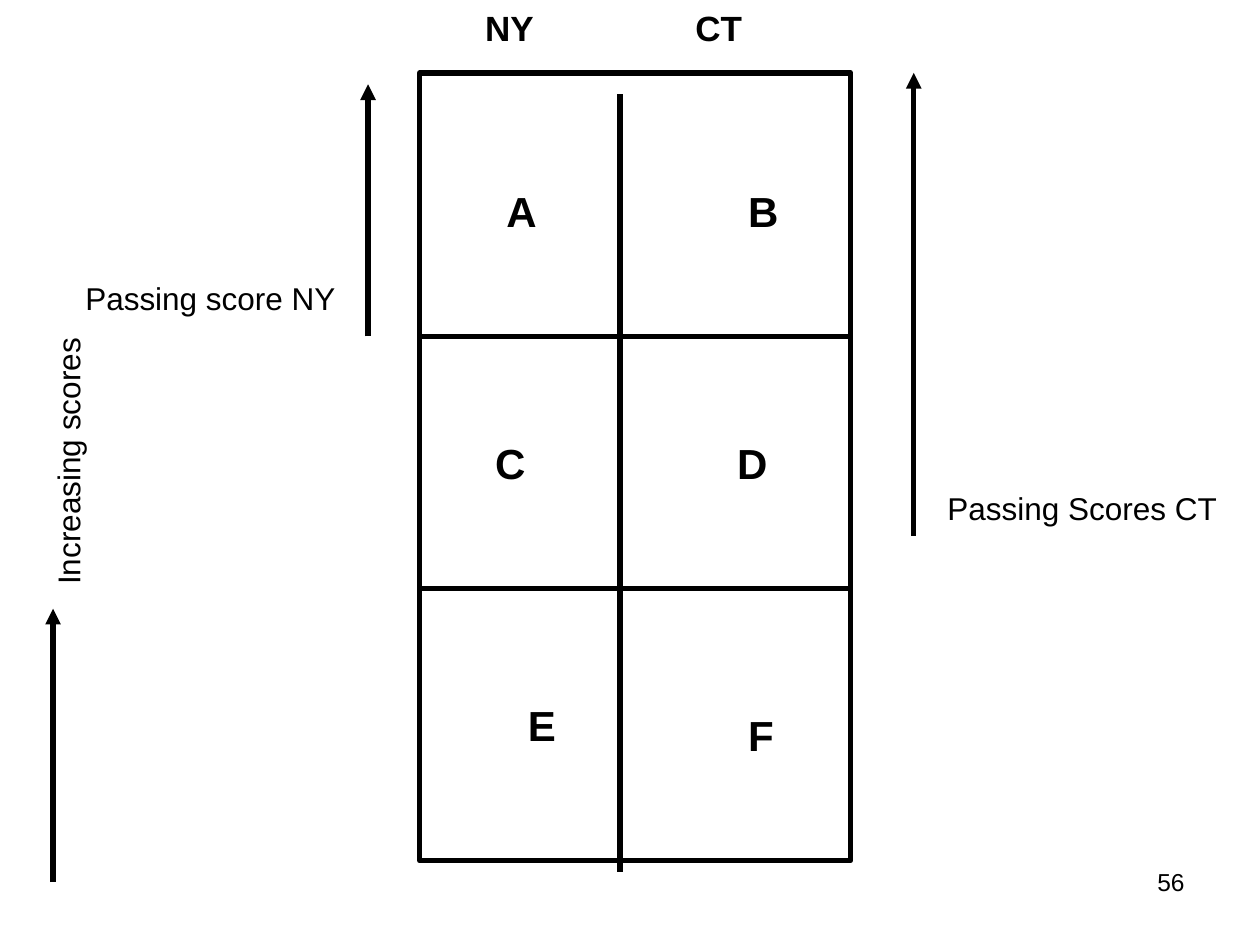
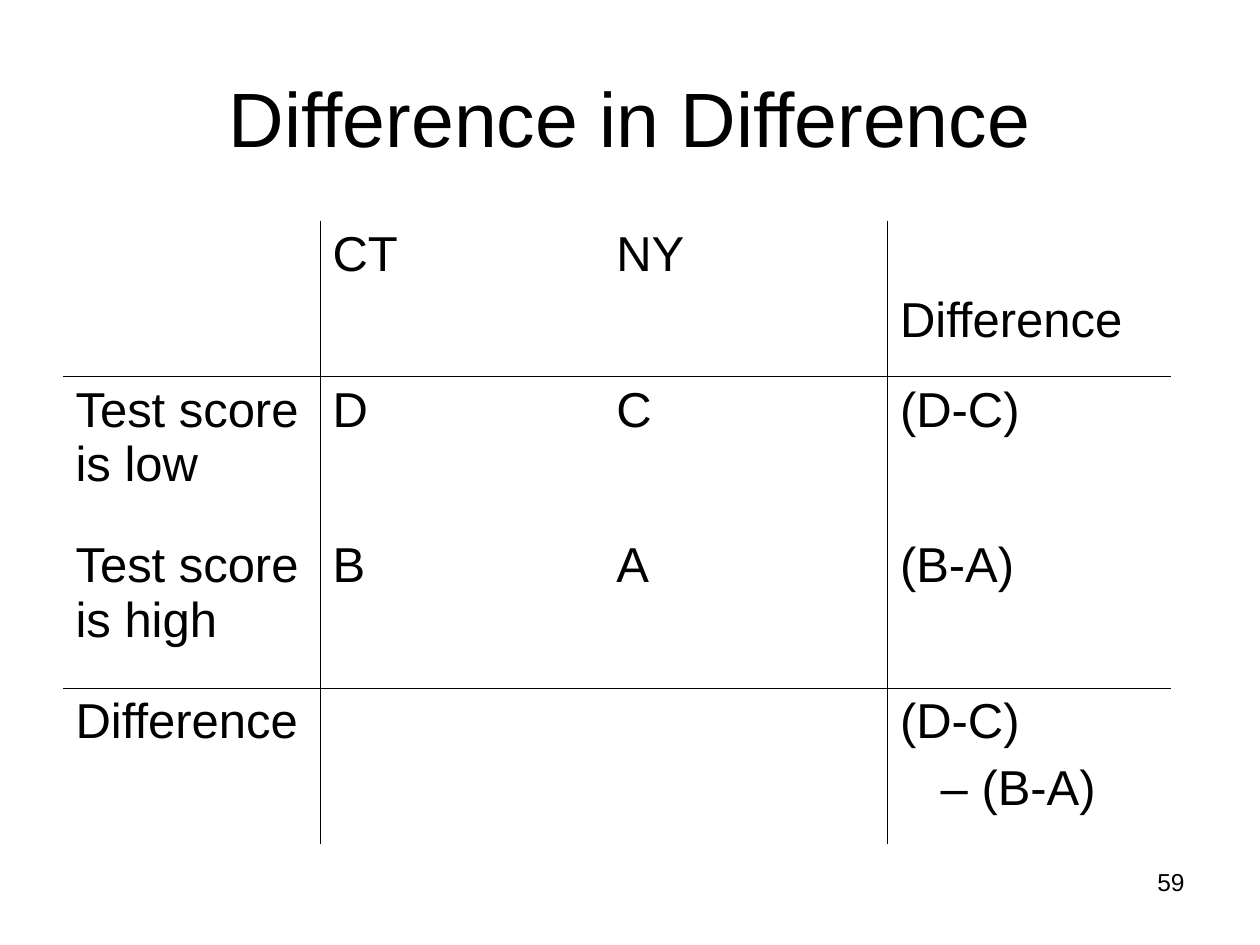
from lxml.etree import SubElement
from pptx import Presentation
from pptx.dml.color import RGBColor
from pptx.enum.shapes import MSO_CONNECTOR, MSO_SHAPE
from pptx.enum.text import MSO_ANCHOR, MSO_AUTO_SIZE, PP_ALIGN
from pptx.oxml.ns import qn
from pptx.util import Cm, Pt

FONT = "Arial"
INK = "000000"
TITLE_ONLY, BLANK = 5, 6
PAGE_NUMBER_BOX = (18.21, 17.35, 5.92, 1.32)


def color(hex_value):
    return RGBColor.from_string(hex_value)


def style(paragraph, size, bold=False, align=PP_ALIGN.LEFT):
    paragraph.alignment = align
    font = paragraph.font
    font.name, font.size, font.bold = FONT, Pt(size), bold
    font.color.rgb = color(INK)


def add_label(slide, text, box, size, bold=False, align=PP_ALIGN.LEFT):
    label = slide.shapes.add_textbox(*map(Cm, box))
    label.text_frame.word_wrap = True
    label.text_frame.text = text
    style(label.text_frame.paragraphs[0], size, bold, align)
    return label


def add_page_number(slide, number):
    add_label(slide, str(number), PAGE_NUMBER_BOX, 14, align=PP_ALIGN.RIGHT)


def add_line(slide, x1, y1, x2, y2, arrow=False):
    line = slide.shapes.add_connector(MSO_CONNECTOR.STRAIGHT, *map(Cm, (x1, y1, x2, y2)))
    line.line.color.rgb = color(INK)
    line.line.width = Pt(3)
    if arrow:
        SubElement(line.line._get_or_add_ln(), qn("a:tailEnd"), type="triangle")
    SubElement(line._element.spPr, qn("a:effectLst"))


def add_score_grid(slide, left, top, width, height):
    frame = slide.shapes.add_shape(MSO_SHAPE.RECTANGLE, *map(Cm, (left, top, width, height)))
    frame.shadow.inherit = False
    frame.fill.background()
    frame.line.color.rgb = color(INK)
    frame.line.width = Pt(3)

    add_line(slide, left + 4.04, top + 0.43, left + 4.04, top + height + 0.23)
    for row_y in (5.31, 10.39):
        add_line(slide, left, top + row_y, left + width, top + row_y)

    for state, x in (("NY", 1.07), ("CT", 5.31)):
        add_label(slide, state, (left + x, top - 1.47, 2, 1.12), 20, bold=True)
    group_offsets = {
        "A": (1.5, 2.14), "B": (6.37, 2.14),
        "C": (1.27, 7.22), "D": (6.15, 7.22),
        "E": (1.93, 12.5), "F": (6.37, 12.7),
    }
    for group, (x, y) in group_offsets.items():
        add_label(slide, group, (left + x, top + y, 1.5, 1.27), 24, bold=True)


def add_score_arrows(slide):
    for x, start, end in ((1.07, 17.78, 12.27), (7.42, 6.78, 1.7), (18.42, 10.8, 1.47)):
        add_line(slide, x, start, x, end, arrow=True)
    add_label(slide, "Passing score NY", (1.47, 5.51, 6.35, 1.02), 18)
    add_label(slide, "Passing Scores CT", (18.85, 9.73, 6.3, 1.02), 18)
    axis_label = add_label(slide, "Increasing scores", (-1.63, 8.53, 6, 1.02), 18)
    axis_label.rotation = 270


def add_title(slide, text, box):
    title = slide.shapes.title
    title.left, title.top, title.width, title.height = map(Cm, box)
    frame = title.text_frame
    frame.text = text
    frame.auto_size = MSO_AUTO_SIZE.NONE
    frame.vertical_anchor = MSO_ANCHOR.MIDDLE
    style(frame.paragraphs[0], 44, align=PP_ALIGN.CENTER)


def set_borders(cell, ruled_sides):
    """Rule the named sides (L, R, T, B) and clear the others."""
    properties = cell._tc.get_or_add_tcPr()
    for side in "LRTB":
        border = SubElement(properties, qn(f"a:ln{side}"), w=str(Pt(0.45)))
        if side in ruled_sides:
            fill = SubElement(border, qn("a:solidFill"))
            SubElement(fill, qn("a:srgbClr"), val=INK)
        else:
            SubElement(border, qn("a:noFill"))


def add_difference_table(slide, left, top, column_widths, row_height):
    rows = [
        ["", "CT", "NY", "Difference"],
        ["Test score is low", "D", "C", "(D-C)"],
        ["Test score is high", "B", "A", "(B-A)"],
        ["Difference", "", "", "(D-C)\n– (B-A)"],
    ]
    table = slide.shapes.add_table(
        len(rows), len(column_widths), Cm(left), Cm(top),
        Cm(sum(column_widths)), Cm(row_height * len(rows))).table
    table.first_row = table.horz_banding = False
    for column, width in zip(table.columns, column_widths):
        column.width = Cm(width)

    for r, texts in enumerate(rows):
        table.rows[r].height = Cm(row_height)
        for c, text in enumerate(texts):
            cell = table.cell(r, c)
            # Rules follow the first and third row and column.
            set_borders(cell, ("R" if c in (0, 2) else "L") + ("B" if r in (0, 2) else "T")
                        if 0 < r < 3 and 0 < c < 3 else inner_sides(r, c))
            cell.fill.background()
            cell.text = text
            for paragraph in cell.text_frame.paragraphs:
                style(paragraph, 28)
                paragraph.space_before = Pt(7)

    table.cell(0, 3).margin_top = Cm(1.46)
    subtrahend = table.cell(3, 3).text_frame.paragraphs[1]
    subtrahend._p.get_or_add_pPr().set("marL", str(Cm(0.82)))


def inner_sides(row, column):
    return {0: "R", 1: "L", 2: "R", 3: "L"}[column] + {0: "B", 1: "T", 2: "B", 3: "T"}[row]


def build_score_slide(prs):
    slide = prs.slides.add_slide(prs.slide_layouts[BLANK])
    add_score_grid(slide, 8.46, 1.47, 8.69, 15.88)
    add_score_arrows(slide)
    add_page_number(slide, 56)


def build_difference_slide(prs):
    slide = prs.slides.add_slide(prs.slide_layouts[TITLE_ONLY])
    add_title(slide, "Difference in Difference", (1.27, 0.76, 22.86, 3.18))
    add_difference_table(slide, 1.27, 4.45, (5.18, 5.72, 5.72, 5.72), 3.14)
    add_page_number(slide, 59)


def main():
    prs = Presentation()
    prs.slide_width, prs.slide_height = Cm(25.4), Cm(19.05)
    build_score_slide(prs)
    build_difference_slide(prs)
    prs.save("out.pptx")


if __name__ == "__main__":
    main()
